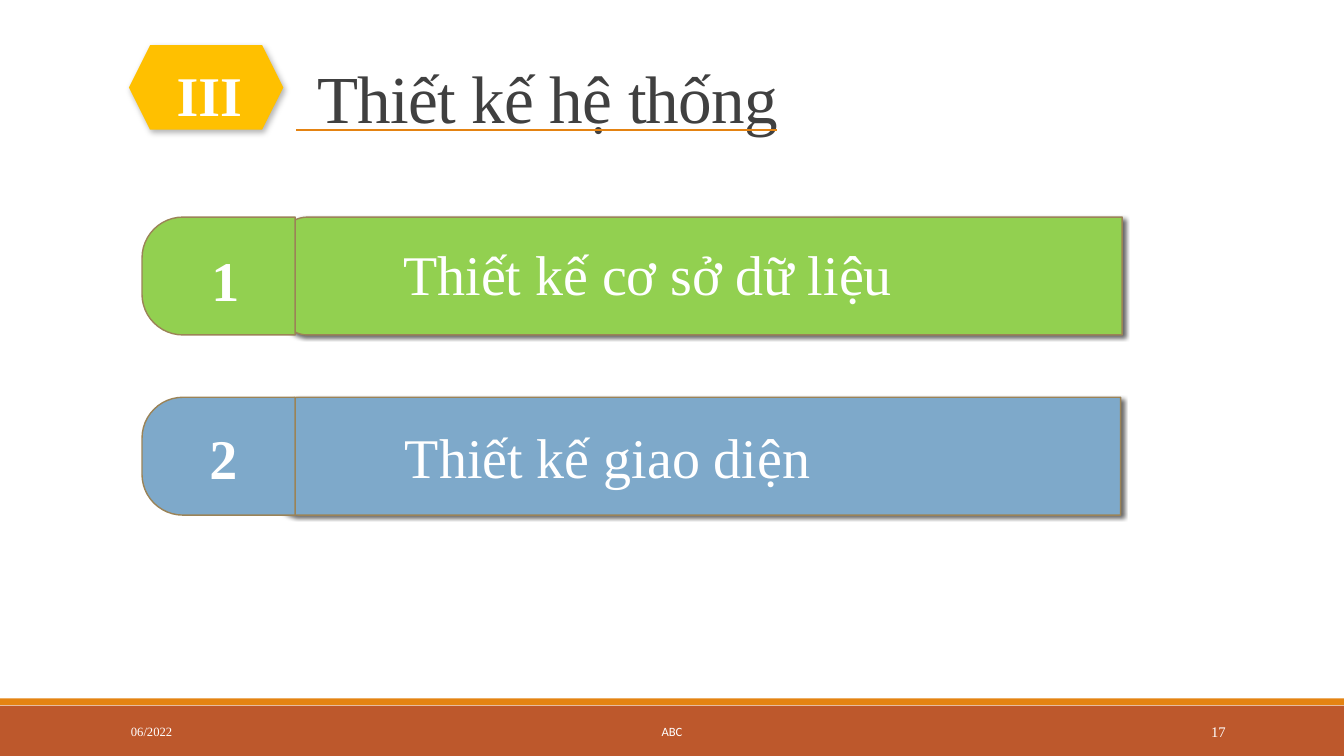
from dataclasses import dataclass
from lxml import etree
from pptx import Presentation
from pptx.dml.color import RGBColor
from pptx.enum import shapes as sh, text as tx
from pptx.oxml import ns
from pptx.util import Cm, Pt


@dataclass(frozen=True)
class Theme:
    """Colours, fonts and type sizes of the slide."""
    white: str = "FFFFFF"
    ink: str = "404040"
    rust: str = "BD582C"
    orange: str = "E48312"
    gold: str = "FFC000"
    green: str = "92D050"
    blue: str = "7EA9CA"
    edge: str = "9B8357"
    serif: str = "Times New Roman"
    sans: str = "Calibri"
    head: float = 48
    item: float = 40
    page: float = 10.5
    foot: float = 9


THEME = Theme()
ALIGN = tx.PP_ALIGN
KIND = sh.MSO_SHAPE


def rgb(code):
    """Turn a hex code into a colour."""
    return RGBColor.from_string(code)


def place(box, left, top, width, height):
    """Set position and size in centimetres."""
    box.left, box.top, box.width, box.height = map(Cm, (left, top, width, height))


def write(box, words, size, color=THEME.white, align=ALIGN.CENTER,
          face=THEME.serif, bold=False, anchor=tx.MSO_ANCHOR.MIDDLE):
    """Put one formatted paragraph in a box."""
    frame = box.text_frame
    frame.text = words
    frame.word_wrap = True
    frame.vertical_anchor = anchor
    para = frame.paragraphs[0]
    para.alignment = align
    font = para.runs[0].font
    font.name, font.size, font.bold = face, Pt(size), bold
    font.color.rgb = rgb(color)


def label(slide, area, words, size, **style):
    """Add a text box."""
    write(slide.shapes.add_textbox(*map(Cm, area)), words, size, **style)


def shade(shape, alpha, blur, dist, angle):
    """Give a shape an outer shadow."""
    effects = shape.element.spPr.find(ns.qn("a:effectLst"))
    outer = etree.SubElement(
        effects, ns.qn("a:outerShdw"), blurRad=str(Pt(blur)), dist=str(Pt(dist)),
        dir=str(angle * 60000), algn="tl", rotWithShape="0")
    color = etree.SubElement(outer, ns.qn("a:srgbClr"), val="000000")
    etree.SubElement(color, ns.qn("a:alpha"), val=str(alpha * 1000))


def block(slide, kind, area, fill, edge=None):
    """Add a filled shape, with an outline if asked."""
    shape = slide.shapes.add_shape(kind, *map(Cm, area))
    shape.shadow.inherit = False
    shape.fill.solid()
    shape.fill.fore_color.rgb = rgb(fill)
    if edge:
        shape.line.color.rgb = rgb(edge)
        shape.line.width = Pt(1)
    else:
        shape.line.fill.background()
    return shape


def strip(slide, left, top, width, height, fill, curve):
    """Add a bar with its left corners rounded."""
    area = (left + (width - height) / 2, top + (height - width) / 2, height, width)
    bar = block(slide, KIND.ROUND_2_SAME_RECTANGLE, area, fill, THEME.edge)
    bar.rotation = 270
    bar.adjustments[0], bar.adjustments[1] = curve, 0
    return bar


def item(slide, num, words, fill, top, bar, num_at, text_at):
    """Add a numbered topic bar."""
    left, width = bar
    tall = 2.97
    shade(strip(slide, left, top, width, tall, fill, 0.233), 60, 3, 2, 45)
    strip(slide, 3.58, top, 3.86, tall, fill, 0.347)
    label(slide, (*num_at, 1.96, 1.96), num, THEME.item, bold=True)
    label(slide, (*text_at, 19.75, 1.96), words, THEME.item,
          anchor=tx.MSO_ANCHOR.TOP)


def heading(slide, num, words):
    """Add the title, its number badge and its underline."""
    title = slide.shapes.title
    place(title, 7.75, 0.76, 23.39, 2.82)
    write(title, words, THEME.head, THEME.ink, ALIGN.LEFT,
          anchor=tx.MSO_ANCHOR.BOTTOM)
    title.text_frame.auto_size = tx.MSO_AUTO_SIZE.NONE
    para = title.text_frame.paragraphs[0]
    para.line_spacing = 0.85
    para.runs[0].font._element.set("spc", "-50")
    badge = block(slide, KIND.HEXAGON, (3.25, 1.14, 3.89, 2.13), THEME.gold)
    shade(badge, 30, 4.5, 2.6, 53)
    label(slide, (3.84, 1.4, 2.87, 1.96), num, THEME.item, bold=True)


def rule(slide, left, right, top):
    """Add a level line."""
    line = slide.shapes.add_connector(
        sh.MSO_CONNECTOR.STRAIGHT, Cm(left), Cm(top), Cm(right), Cm(top))
    line.line.color.rgb = rgb(THEME.orange)
    line.line.width = Pt(1.5)
    etree.SubElement(line._element.spPr, ns.qn("a:effectLst"))


def footer(slide):
    """Add the bottom bands with date, name and page."""
    block(slide, KIND.RECTANGLE, (0, 17.78, 33.87, 1.27), THEME.rust)
    block(slide, KIND.RECTANGLE, (0, 17.6, 33.87, 0.17), THEME.orange)
    for left, width, words, size, align, face in (
            (3.05, 6.86, "06/2022", THEME.foot, ALIGN.LEFT, THEME.serif),
            (10.24, 13.39, "ABC", THEME.foot, ALIGN.CENTER, THEME.sans),
            (27.51, 3.63, "17", THEME.page, ALIGN.RIGHT, THEME.serif)):
        label(slide, (left, 17.93, width, 1.02), words, size, align=align, face=face)


def main():
    """Build and save the slide."""
    deck = Presentation()
    deck.slide_width, deck.slide_height = Cm(33.87), Cm(19.05)
    slide = deck.slides.add_slide(deck.slide_layouts[5])
    footer(slide)
    heading(slide, "III", "Thiết kế hệ thống")
    item(slide, "1", "Thiết kế cơ sở dữ liệu", THEME.green, 5.47,
         (7.05, 21.23), (4.7, 6.05), (6.45, 5.92))
    item(slide, "2", "Thiết kế giao diện", THEME.blue, 10.01,
         (6.83, 21.41), (4.65, 10.54), (5.44, 10.52))
    rule(slide, 7.47, 19.58, 3.28)
    deck.save("out.pptx")


if __name__ == "__main__":
    main()
